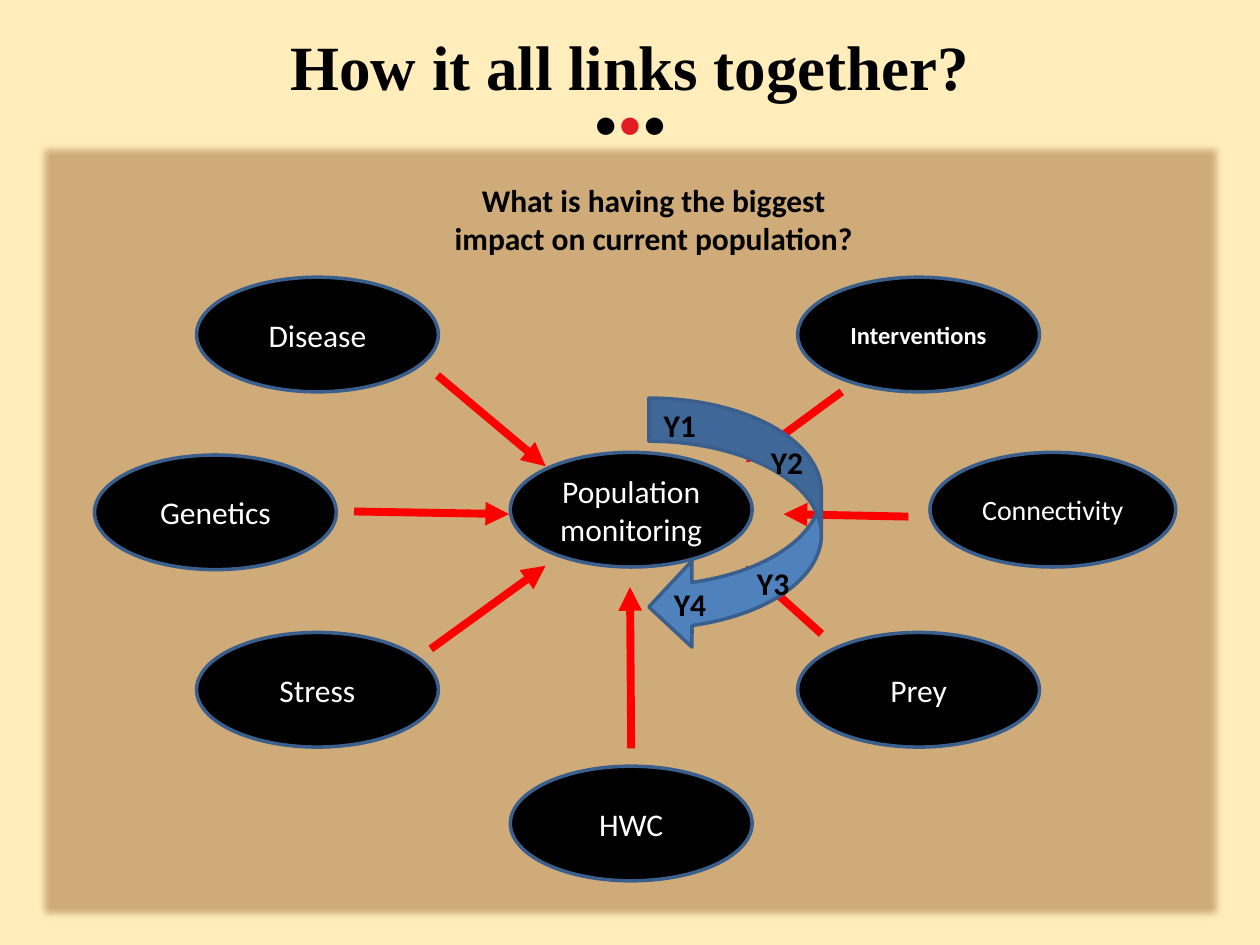
from lxml.etree import SubElement
from pptx import Presentation
from pptx.dml.color import RGBColor
from pptx.enum.shapes import MSO_CONNECTOR as Connector, MSO_SHAPE as Shape
from pptx.enum.text import MSO_ANCHOR as Anchor, MSO_AUTO_SIZE as AutoSize, PP_ALIGN as Align
from pptx.oxml.ns import qn
from pptx.util import Pt

CREAM = RGBColor(0xFF, 0xEE, 0xBB)
TAN = RGBColor(0xCF, 0xAB, 0x7A)
BLACK = RGBColor(0, 0, 0)
WHITE = RGBColor(0xFF, 0xFF, 0xFF)
CRIMSON = RGBColor(0xE3, 0x1B, 0x23)
RED = RGBColor(0xFF, 0, 0)
BLUE = RGBColor(0x4F, 0x81, 0xBD)
NAVY = RGBColor(0x3A, 0x5F, 0x8C)

FACTOR_WIDTH, FACTOR_HEIGHT = 138.2, 65.5
LEFT, MIDDLE, RIGHT = 112.3, 291.6, 455.8
UPPER, CENTRE, LOWER, BOTTOM = 158.4, 258.5, 361.4, 437.8

FACTORS = [
    ("Population monitoring", MIDDLE, CENTRE),
    ("Disease", LEFT, UPPER),
    ("Genetics", 54, 260),
    ("Stress", LEFT, LOWER),
    ("HWC", MIDDLE, BOTTOM),
    ("Prey", RIGHT, LOWER),
]

INFLUENCES = [
    ((250, 214.5), (311.8, 266.4)),
    ((202.3, 292.3), (290.9, 293.8)),
    ((246.2, 370.8), (311.8, 323.3)),
    ((360.7, 427.7), (360, 335.5)),
    ((469.4, 362.2), (426.2, 323.3)),
    ((519.1, 295.2), (447.8, 293.8)),
    ((481, 223.9), (426.2, 264.2)),
]

YEARS = [
    ("Y1", 372.2, 228.2),
    ("Y2", 433.4, 249.8),
    ("Y3", 425.5, 319),
    ("Y4", 378, 330.5),
]


def points(*lengths):
    return [Pt(length) for length in lengths]


def add_text(paragraph, text, size, color, bold=False, font="Calibri"):
    run = paragraph.add_run()
    run.text = text
    run.font.name = font
    run.font.size = Pt(size)
    run.font.bold = bold
    run.font.color.rgb = color


def add_title(slide, text):
    title = slide.shapes.title
    title.left, title.top, title.width, title.height = points(36, 2.9, 648, 69)
    title.text_frame.vertical_anchor = Anchor.MIDDLE
    heading = title.text_frame.paragraphs[0]
    heading.alignment = Align.CENTER
    add_text(heading, text, 36, BLACK, True, "Times New Roman")


def add_filled(slide, preset, place, fill, outline=None):
    figure = slide.shapes.add_shape(preset, *points(*place))
    figure.shadow.inherit = False
    figure.fill.solid()
    figure.fill.fore_color.rgb = fill
    if outline is None:
        figure.line.fill.background()
    else:
        figure.line.color.rgb = outline
        figure.line.width = Pt(2)
    return figure


def add_panel(slide):
    panel = add_filled(slide, Shape.RECTANGLE, (20.2, 80.6, 680.4, 447.1), TAN)
    effects = panel._element.spPr.find(qn("a:effectLst"))
    SubElement(effects, qn("a:softEdge"), rad=str(Pt(5)))


def add_factor(slide, text, left, top, width=FACTOR_WIDTH, size=18, bold=False):
    factor = add_filled(slide, Shape.OVAL, (left, top, width, FACTOR_HEIGHT), BLACK, NAVY)
    factor.text_frame.vertical_anchor = Anchor.MIDDLE
    label = factor.text_frame.paragraphs[0]
    label.alignment = Align.CENTER
    add_text(label, text, size, WHITE, bold)


def add_influence(slide, start, end):
    influence = slide.shapes.add_connector(Connector.STRAIGHT, *points(*start, *end))
    influence.line.color.rgb = RED
    influence.line.width = Pt(4.5)
    SubElement(influence.line._get_or_add_ln(), qn("a:tailEnd"), type="triangle")
    SubElement(influence._element.spPr, qn("a:effectLst"))


def add_caption(slide, place, pieces, size, bold=False, align=Align.LEFT):
    caption = slide.shapes.add_textbox(*points(*place))
    frame = caption.text_frame
    frame.word_wrap = True
    frame.auto_size = AutoSize.SHAPE_TO_FIT_TEXT
    line = frame.paragraphs[0]
    line.alignment = align
    for text, color in pieces:
        add_text(line, text, size, color, bold)


def main():
    deck = Presentation()
    deck.slide_width, deck.slide_height = points(720, 540)
    slide = deck.slides.add_slide(deck.slide_layouts[5])
    slide.background.fill.solid()
    slide.background.fill.fore_color.rgb = CREAM

    add_title(slide, "How it all links together?")
    add_panel(slide)
    dots = [("•", color) for color in (BLACK, CRIMSON, BLACK)]
    add_caption(slide, (20.2, 49, 679.7, 41), dots, 28, align=Align.CENTER)

    for text, left, top in FACTORS:
        add_factor(slide, text, left, top)
    add_factor(slide, "Interventions", RIGHT, UPPER, size=14, bold=True)
    add_factor(slide, "Connectivity", 531.4, CENTRE, width=140.4, size=16)
    for start, end in INFLUENCES:
        add_influence(slide, start, end)

    add_filled(slide, Shape.CURVED_LEFT_ARROW, (370.8, 227.5, 98.6, 144), BLUE, NAVY)
    question = "What is having the biggest impact on current population?"
    add_caption(slide, (249.8, 100.1, 247.7, 51), [(question, BLACK)], 18, True, Align.CENTER)
    for year, left, top in YEARS:
        add_caption(slide, (left, top, 48.2, 29), [(year, BLACK)], 18, True)

    deck.save("out.pptx")


if __name__ == "__main__":
    main()
